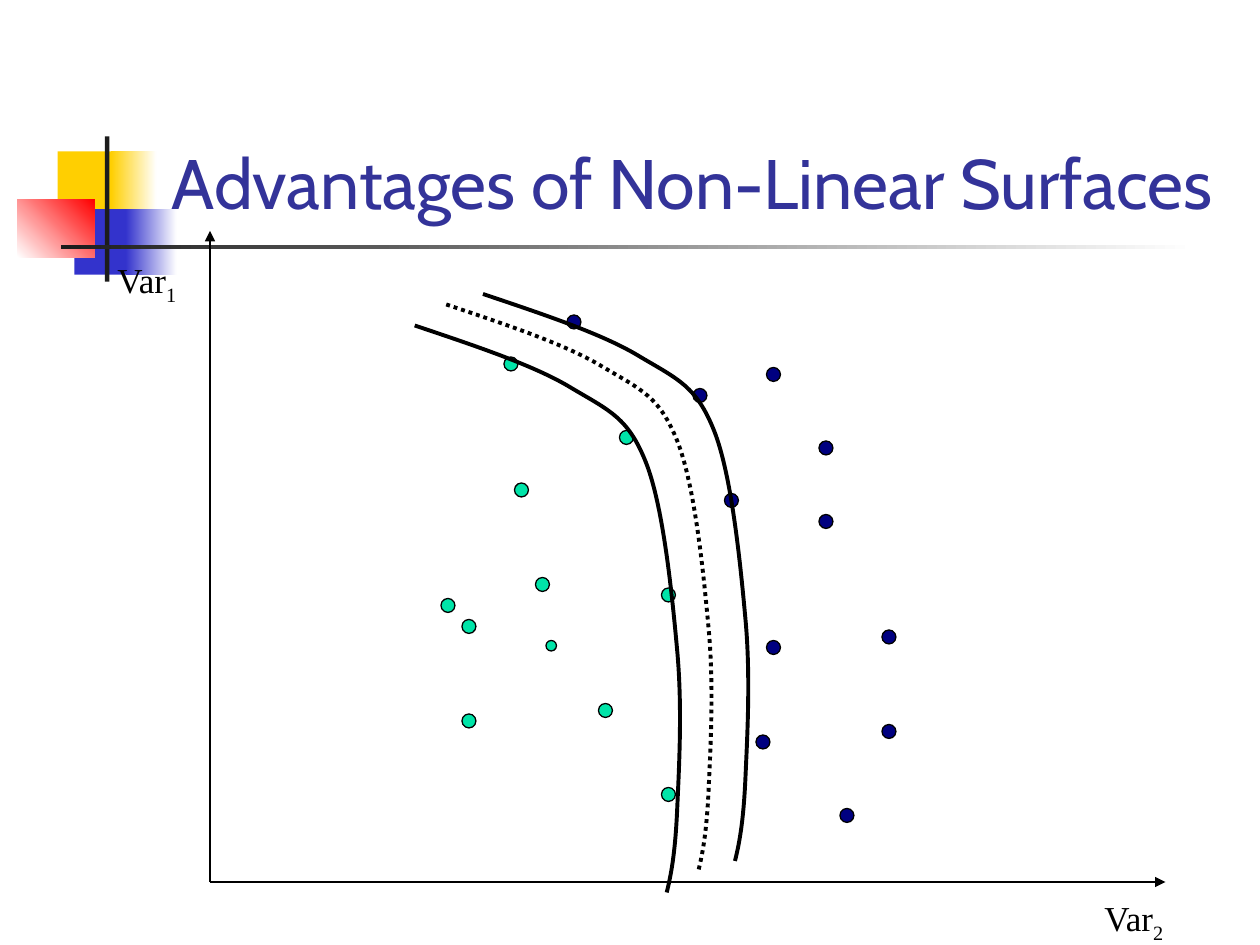
from lxml import etree
from pptx import Presentation
from pptx.dml.color import RGBColor
from pptx.enum import dml, shapes, text
from pptx.oxml.ns import qn
from pptx.util import Pt

GOLD = RGBColor(0xFF, 0xCF, 0x01)
BLUE = RGBColor(0x33, 0x33, 0xCC)
RED = RGBColor(0xFF, 0x00, 0x00)
WHITE = RGBColor(0xFF, 0xFF, 0xFF)
DARK = RGBColor(0x1C, 0x1C, 0x1C)
INDIGO = RGBColor(0x33, 0x33, 0x99)
BLACK = RGBColor(0x00, 0x00, 0x00)
GREEN = RGBColor(0x00, 0xE4, 0xA8)
NAVY = RGBColor(0x00, 0x00, 0x80)

GRID = 6
DOT = 8
GREENS = [(31, 33), (24, 46), (43, 53), (29, 24), (28, 12), (43, 34),
          (37, 45), (39, 19), (22, 35), (24, 37)]
NAVIES = [(46, 15), (49, 25), (58, 27), (52, 48), (64, 38), (53, 39),
          (60, 55), (34, 8), (53, 13), (64, 47), (58, 20)]
BEND = [(34, 11.5), (69, 23), (90, 36), (112, 49), (122, 53), (132, 78),
        (142, 103), (147, 153), (150, 186), (153, 219), (151, 253), (150, 276),
        (149, 299), (147, 312), (144, 324)]


def add_block(slide, x, y, w, h, start, end=None, angle=0):
    """Draw a borderless rectangle in one colour or a two-colour fade."""
    block = slide.shapes.add_shape(
        shapes.MSO_SHAPE.RECTANGLE, Pt(x), Pt(y), Pt(w), Pt(h))
    block.shadow.inherit = False
    block.line.fill.background()
    if end is None:
        block.fill.solid()
        block.fill.fore_color.rgb = start
        return
    block.fill.gradient()
    block.fill.gradient_angle = angle
    for stop, pos, color in zip(block.fill.gradient_stops, (0, 1), (start, end)):
        stop.position = pos
        stop.color.rgb = color


def add_motif(slide, x, y):
    """Draw the coloured squares and crossing rules."""
    add_block(slide, x + 23, y + 8.5, 34.5, 37.5, GOLD)
    add_block(slide, x + 53.5, y + 8.5, 26, 37.5, GOLD, WHITE)
    add_block(slide, x + 32.5, y + 41.5, 33, 37.5, BLUE)
    add_block(slide, x + 62, y + 41.5, 29, 37.5, BLUE, WHITE)
    add_block(slide, x, y + 36, 44, 33, WHITE, RED, 45)
    add_block(slide, x + 50, y, 2.5, 83, DARK)
    add_block(slide, x + 25, y + 62, 648, 2.5, DARK, WHITE)


def set_title(slide, x, y, w, h):
    """Place the title in front of the motif and format it."""
    title = slide.shapes.title
    slide.shapes._spTree.append(title._element)
    title.left, title.top, title.width, title.height = Pt(x), Pt(y), Pt(w), Pt(h)
    frame = title.text_frame
    frame.text = "Advantages of Non-Linear Surfaces"
    frame.auto_size = text.MSO_AUTO_SIZE.NONE
    frame.vertical_anchor = text.MSO_ANCHOR.BOTTOM
    para = frame.paragraphs[0]
    para.alignment = text.PP_ALIGN.LEFT
    font = para.runs[0].font
    font.name, font.size, font.color.rgb = "Cabin", Pt(40), INDIGO


def add_axis(slide, x, y, end_x, end_y):
    """Draw an axis with an arrowhead at its end."""
    axis = slide.shapes.add_connector(
        shapes.MSO_CONNECTOR.STRAIGHT, Pt(x), Pt(y), Pt(end_x), Pt(end_y))
    axis.line.width = Pt(0.75)
    axis.line.color.rgb = BLACK
    props = axis._element.spPr
    etree.SubElement(props.find(qn("a:ln")), qn("a:tailEnd"), type="triangle")
    etree.SubElement(props, qn("a:effectLst"))


def add_label(slide, x, y, index):
    """Write a variable name with its subscript."""
    box = slide.shapes.add_textbox(Pt(x), Pt(y), Pt(54), Pt(34.5))
    frame = box.text_frame
    frame.word_wrap = True
    para = frame.paragraphs[0]
    for part in ("Var", index):
        run = para.add_run()
        run.text = part
        font = run.font
        font.name, font.size, font.color.rgb = "Times New Roman", Pt(20), BLACK
    para.runs[1]._r.get_or_add_rPr().set("baseline", "-25000")


def add_dot(slide, x, y, color, size=DOT):
    """Draw one data point."""
    dot = slide.shapes.add_shape(
        shapes.MSO_SHAPE.OVAL, Pt(x), Pt(y), Pt(size), Pt(size))
    dot.shadow.inherit = False
    dot.fill.solid()
    dot.fill.fore_color.rgb = color
    dot.line.color.rgb = BLACK
    dot.line.width = Pt(0.75)


def add_curve(slide, x, y, dash=None):
    """Draw the bent boundary as a chain of cubic curves."""
    pen = slide.shapes.build_freeform(Pt(x), Pt(y))
    pen.add_line_segments([(Pt(x + dx), Pt(y + dy)) for dx, dy in BEND], close=False)
    curve = pen.convert_to_shape()
    curve.shadow.inherit = False
    curve.fill.background()
    curve.line.color.rgb = BLACK
    curve.line.width = Pt(2.25)
    if dash is not None:
        curve.line.dash_style = dash
    route = next(curve._element.iter(qn("a:path")))
    legs = route.findall(qn("a:lnTo"))
    for i in range(0, len(legs), 3):
        arc = etree.SubElement(route, qn("a:cubicBezTo"))
        for leg in legs[i:i + 3]:
            arc.append(leg[0])
            route.remove(leg)


def add_plot(slide, x, y, w, h):
    """Draw the axes, both classes of points and the margin curves."""
    add_axis(slide, x, y + h, x + w, y + h)
    add_axis(slide, x, y + h, x, y)
    add_label(slide, x - 60, y + 12, "1")
    add_label(slide, x + w - 42, y + h + 5, "2")
    for color, spots in ((GREEN, GREENS), (NAVY, NAVIES)):
        for col, row in spots:
            add_dot(slide, x + col * GRID, y + row * GRID, color)
    add_dot(slide, x + 32 * GRID, y + 39 * GRID, GREEN, 6)
    add_curve(slide, x + 135, y + 42, dml.MSO_LINE.ROUND_DOT)
    add_curve(slide, x + 156, y + 36)
    add_curve(slide, x + 117, y + 54)


def main():
    """Build and save the slide."""
    deck = Presentation()
    deck.slide_width, deck.slide_height = Pt(720), Pt(540)
    slide = deck.slides.add_slide(deck.slide_layouts[5])
    add_motif(slide, 10, 78)
    set_title(slide, 91, 16.5, 613.5, 115)
    add_plot(slide, 120, 132, 546, 372)
    deck.save("out.pptx")


if __name__ == "__main__":
    main()
